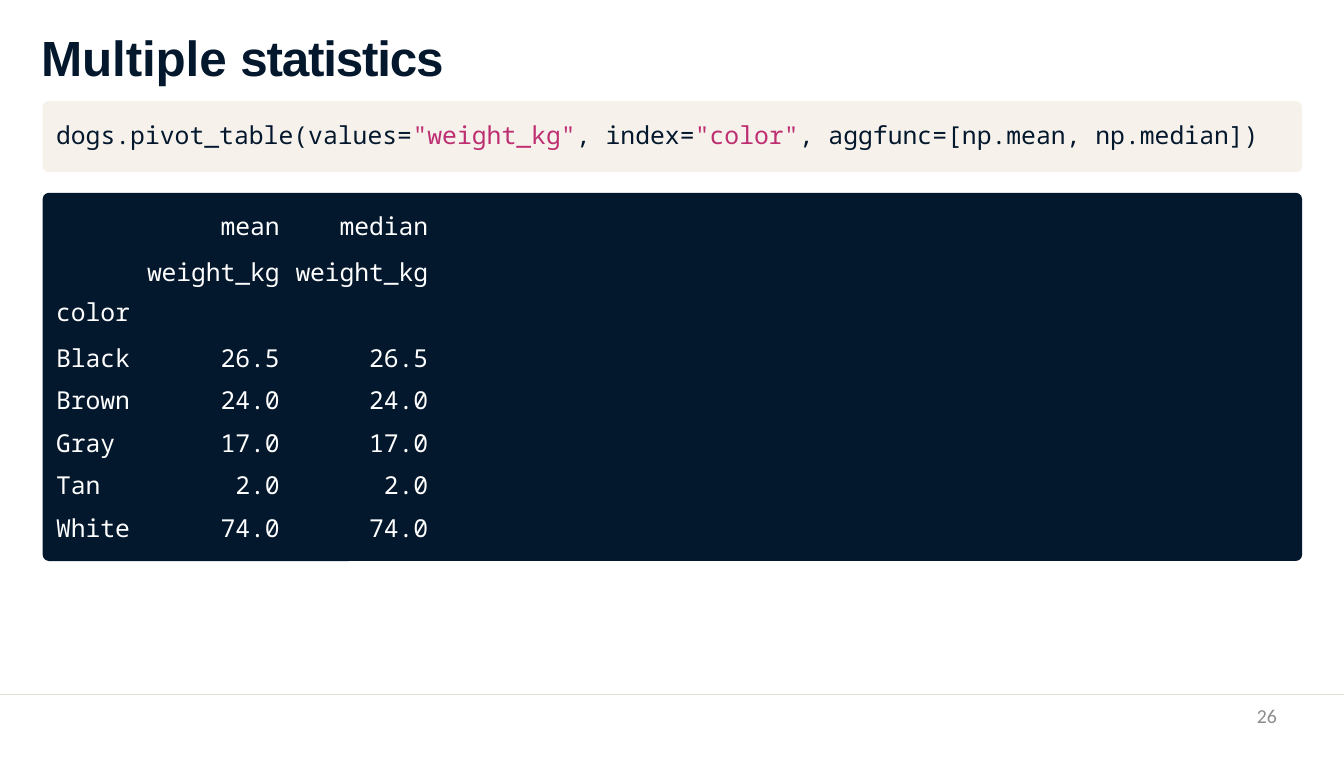
import pptx
import pptx.dml.color
import pptx.enum.shapes
import pptx.enum.text
import pptx.oxml
import pptx.oxml.ns
import pptx.util

Inches, Pt = pptx.util.Inches, pptx.util.Pt
ALIGN, ANCHOR = pptx.enum.text.PP_ALIGN, pptx.enum.text.MSO_ANCHOR

# Content
NAVY, PINK, CREAM, WHITE, RULE, GRAY = "04182D", "BE2F72", "F6F2EB", "FFFFFF", "E4E1D9", "8C8C8C"
MONO, CODE_SIZE = "Noto Sans Mono", 22.5
PAGE_WIDTH, PAGE_HEIGHT = 17.01, 9.58
TITLE = [("Multiple ", -0.1), ("statistics", -1.1)]
CODE = [
    ("dogs.pivot_table(values=", NAVY),
    ('"weight_kg"', PINK),
    (", index=", NAVY),
    ('"color"', PINK),
    (", aggfunc=[np.mean, np.median])", NAVY),
]
HEADER = [["color"], ["mean", "weight_kg"], ["median", "weight_kg"]]
ROWS = [
    ("Black", "26.5", "26.5"),
    ("Brown", "24.0", "24.0"),
    ("Gray", "17.0", "17.0"),
    ("Tan", "2.0", "2.0"),
    ("White", "74.0", "74.0"),
]
COLUMN_WIDTHS = [1.07, 1.88, 1.82]
RIGHT_MARGINS = [0, 0.09, 0.03]
ROW_HEIGHTS = [1.54] + [0.54] * 4 + [0.46]
PANELS = [(1.28, 0.9, CREAM), (2.44, 4.66, NAVY)]
PANEL_LEFT, PANEL_WIDTH, PANEL_RADIUS = 0.54, 15.94, 0.08
PAGE_NUMBER = "26"


def rgb(color):
    return pptx.dml.color.RGBColor.from_string(color)


def add_run(paragraph, text, font, size, color, bold=False, spacing=0):
    run = paragraph.add_run()
    run.text = text
    run.font.name, run.font.size, run.font.bold = font, Pt(size), bold
    run.font.color.rgb = rgb(color)
    if spacing:
        run.font._element.set("spc", str(round(spacing * 100)))


def set_frame(frame, top_margin=0.0, wrap=True):
    frame.margin_left = frame.margin_right = frame.margin_bottom = 0
    frame.margin_top = Inches(top_margin)
    frame.word_wrap = wrap
    frame.auto_size = pptx.enum.text.MSO_AUTO_SIZE.NONE
    frame.vertical_anchor = ANCHOR.TOP
    return frame.paragraphs[0]


def add_text_box(slide, left, top, width, height, **options):
    box = slide.shapes.add_textbox(Inches(left), Inches(top), Inches(width), Inches(height))
    return set_frame(box.text_frame, **options)


def fill_cell(cell, lines, column, top_margin):
    cell.fill.background()
    cell.margin_left = Inches(0 if column else 0.03)
    cell.margin_right = Inches(RIGHT_MARGINS[column])
    cell.margin_top, cell.margin_bottom = Inches(top_margin), 0
    for number, line in enumerate(lines):
        paragraph = cell.text_frame.add_paragraph() if number else cell.text_frame.paragraphs[0]
        paragraph.alignment = ALIGN.RIGHT if column else ALIGN.LEFT
        if number:
            paragraph.space_before = Pt(11.7)
        elif len(lines) > 1:
            paragraph.line_spacing = Pt(26.4)
        add_run(paragraph, line, MONO, CODE_SIZE, WHITE, spacing=-0.1)


presentation = pptx.Presentation()
presentation.slide_width, presentation.slide_height = Inches(PAGE_WIDTH), Inches(PAGE_HEIGHT)
slide = presentation.slides.add_slide(presentation.slide_layouts[5])

# Footer rule
rule = slide.shapes.add_connector(
    pptx.enum.shapes.MSO_CONNECTOR.STRAIGHT, 0, Inches(8.79), Inches(PAGE_WIDTH), Inches(8.79)
)
rule.line.color.rgb, rule.line.width = rgb(RULE), Pt(1.5)
rule._element.spPr.append(pptx.oxml.parse_xml(f'<a:effectLst {pptx.oxml.ns.nsdecls("a")}/>'))

# Title
title = slide.shapes.title
title.left, title.top, title.width, title.height = map(Inches, (0.52, 0.3, 10.28, 0.78))
paragraph = set_frame(title.text_frame, top_margin=0.04)
paragraph.alignment = ALIGN.LEFT
for text, spacing in TITLE:
    add_run(paragraph, text, "Arial", 45, NAVY, bold=True, spacing=spacing)

# Code and output panels
for top, height, color in PANELS:
    panel = slide.shapes.add_shape(
        pptx.enum.shapes.MSO_SHAPE.ROUNDED_RECTANGLE,
        Inches(PANEL_LEFT), Inches(top), Inches(PANEL_WIDTH), Inches(height),
    )
    panel.adjustments[0] = PANEL_RADIUS / height
    panel.shadow.inherit = False
    panel.fill.solid()
    panel.fill.fore_color.rgb = rgb(color)
    panel.line.fill.background()

# Code line
paragraph = add_text_box(slide, 0.71, 1.51, 15.26, 0.4, top_margin=0.01, wrap=False)
for text, color in CODE:
    add_run(paragraph, text, MONO, CODE_SIZE, color)

# Output table, in the "No Style, No Grid" style
frame = slide.shapes.add_table(
    len(ROW_HEIGHTS), len(COLUMN_WIDTHS), Inches(0.68), Inches(2.7),
    Inches(sum(COLUMN_WIDTHS)), Inches(sum(ROW_HEIGHTS)),
)
table = frame.table
table.first_row = table.horz_banding = False
table._tbl.tblPr.find(pptx.oxml.ns.qn("a:tableStyleId")).text = "{2D5ABB26-0587-4C30-8999-92F81FD0307C}"
for column, width in zip(table.columns, COLUMN_WIDTHS):
    column.width = Inches(width)
for row, height in zip(table.rows, ROW_HEIGHTS):
    row.height = Inches(height)
for column, lines in enumerate(HEADER):
    fill_cell(table.cell(0, column), lines, column, 0)
for row, values in enumerate(ROWS, start=1):
    for column, value in enumerate(values):
        fill_cell(table.cell(row, column), [value], column, 0.07)
index_name = table.cell(0, 0)
index_name.vertical_anchor = ANCHOR.BOTTOM
index_name.margin_bottom = Inches(0.08)

# Page number
paragraph = add_text_box(slide, 12.25, 8.91, 3.91, 0.48)
paragraph.alignment = ALIGN.RIGHT
add_run(paragraph, PAGE_NUMBER, "Calibri", 18, GRAY)

presentation.save("out.pptx")
